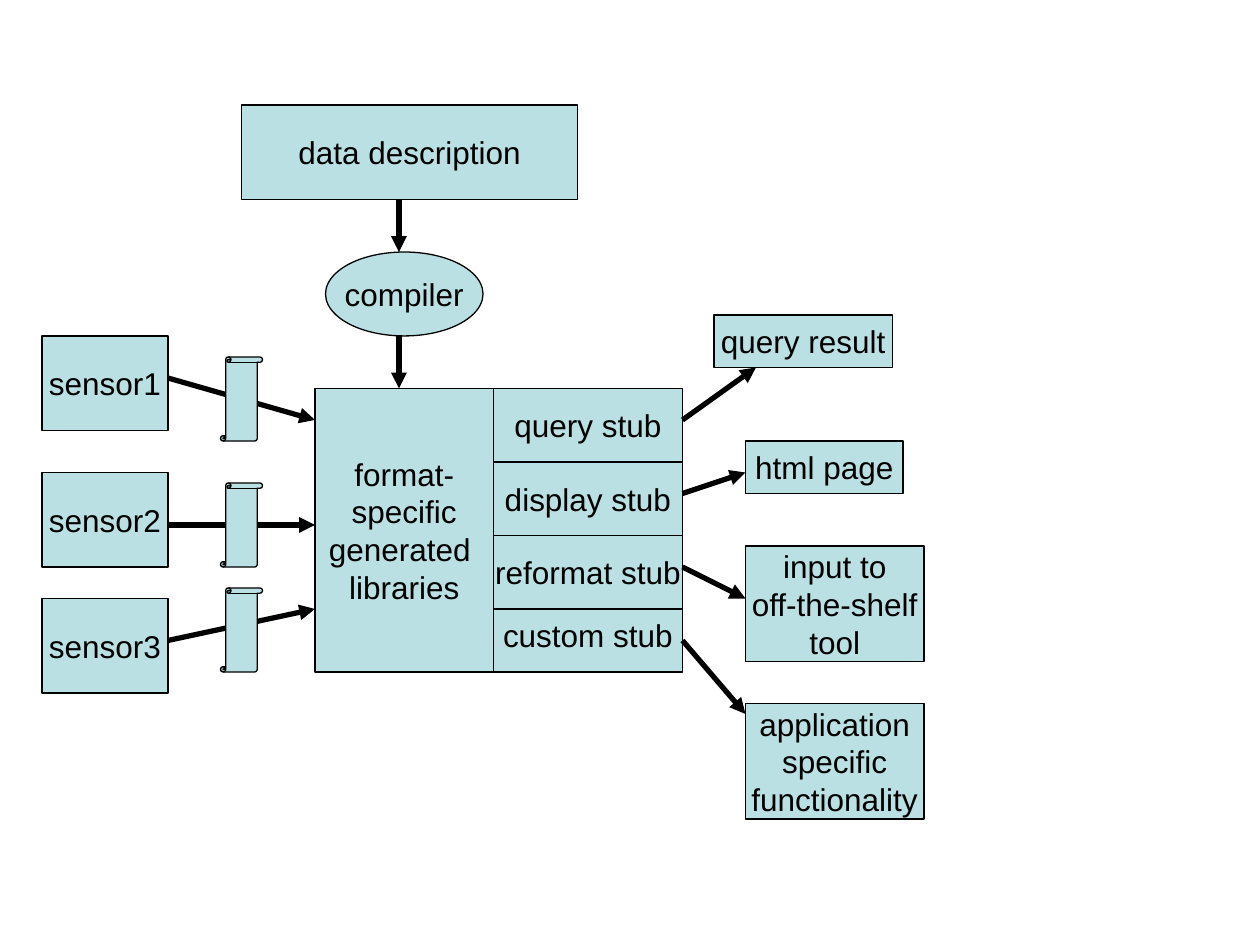
from lxml.etree import SubElement as Sub
from pptx import Presentation
from pptx.dml.color import RGBColor as RGB
from pptx.enum.shapes import MSO_CONNECTOR as Link, MSO_SHAPE as Shape
from pptx.enum.text import MSO_ANCHOR as Anchor, PP_ALIGN as Align
from pptx.oxml.ns import qn
from pptx.util import Pt

SCALE = 9525  # EMU per px, 96 px to the inch
INK = RGB(0x00, 0x00, 0x00)
PALE = RGB(0xBB, 0xE0, 0xE3)


class Chart:
    """Style and current slide of the flow chart."""
    font, size = "Arial", Pt(18)
    thin, thick = Pt(0.75), Pt(3)

    def __init__(self, slide):
        self.shapes = slide.shapes

    def shape(self, kind, *place):
        item = self.shapes.add_shape(kind, *(n * SCALE for n in place))
        item.shadow.inherit = False
        item.fill.solid()
        item.fill.fore_color.rgb = PALE
        item.line.color.rgb = INK
        item.line.width = self.thin
        return item

    def box(self, lines, *place, kind=Shape.RECTANGLE):
        frame = self.shape(kind, *place).text_frame
        frame.word_wrap = False
        frame.vertical_anchor = Anchor.MIDDLE
        for i, line in enumerate(lines):
            para = frame.add_paragraph() if i else frame.paragraphs[0]
            para.alignment = Align.CENTER
            run = para.add_run()
            run.text = line
            run.font.name = self.font
            run.font.size = self.size
            run.font.color.rgb = INK

    def scroll(self, *place):
        self.shape(Shape.VERTICAL_SCROLL, *place).adjustments[0] = 0.125

    def arrow(self, *ends):
        item = self.shapes.add_connector(
            Link.STRAIGHT, *(n * SCALE for n in ends))
        item.line.color.rgb = INK
        item.line.width = self.thick
        Sub(item.line._get_or_add_ln(), qn("a:tailEnd"), type="triangle")
        Sub(item._element.spPr, qn("a:effectLst"))


def main():
    deck = Presentation()
    deck.slide_width, deck.slide_height = 960 * SCALE, 720 * SCALE
    chart = Chart(deck.slides.add_slide(deck.slide_layouts[6]))

    # Sensor feeds: box top, scroll top, arrow start and end heights
    feeds = [(256, 272, 288, 320), (360, 368, 400, 400), (456, 448, 488, 464)]
    for i, (top, roll, start, end) in enumerate(feeds, 1):
        chart.arrow(128, start, 240, end)
        chart.box([f"sensor{i}"], 32, top, 96, 72)
        chart.scroll(168, roll, 32, 64)

    # Description, compiler and libraries
    chart.box(["data description"], 184, 80, 256, 72)
    chart.box(["compiler"], 248, 192, 120, 64, kind=Shape.OVAL)
    chart.box(["format-", "specific", "generated ", "libraries"],
              240, 296, 136, 216)
    for start, end in [(152, 192), (256, 296)]:
        chart.arrow(304, start, 304, end)

    # The reformat stub overlaps the custom stub, so it comes last
    stubs = [("query", 296), ("display", 352), ("custom", 456),
             ("reformat", 408)]
    for name, top in stubs:
        chart.box([f"{name} stub"], 376, top, 144, 56)

    # Outputs: lines, place, arrow start height, arrow end
    outs = [
        (["query result"], (544, 240, 136, 40), 320, (576, 280)),
        (["html page"], (568, 336, 120, 40), 376, (568, 360)),
        (["input to", "off-the-shelf", "tool"],
         (568, 416, 136, 88), 432, (568, 456)),
        (["application", "specific", "functionality"],
         (568, 536, 136, 88), 488, (568, 544)),
    ]
    for lines, place, start, end in outs:
        chart.box(lines, *place)
        chart.arrow(520, start, *end)

    deck.save("out.pptx")


if __name__ == "__main__":
    main()
